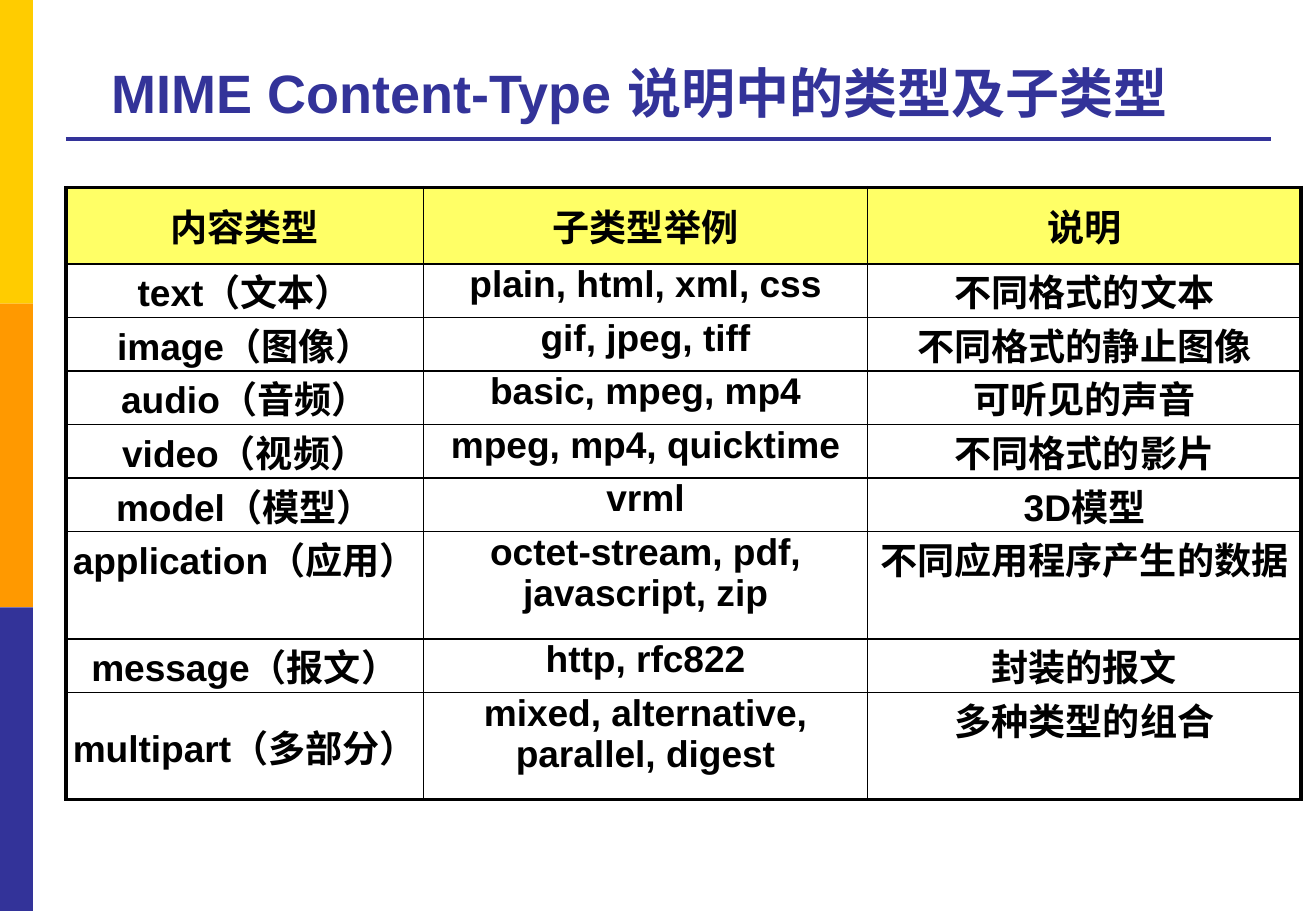
from lxml.etree import SubElement
from pptx import Presentation
from pptx.dml.color import RGBColor
from pptx.enum.shapes import MSO_CONNECTOR as Connector, MSO_SHAPE as Shape
from pptx.enum.text import MSO_ANCHOR as Anchor, PP_ALIGN as Align
from pptx.oxml.ns import qn
from pptx.util import Cm, Pt

NAVY, BLACK, HEADER = "333399", "000000", "FFFF66"
TITLE = "MIME Content-Type 说明中的类型及子类型"
BAND_COLORS = ["FFCC00", "FF9900", NAVY]
ROWS = [
    ("内容类型", "子类型举例", "说明"),
    ("text（文本）", "plain, html, xml, css", "不同格式的文本"),
    ("image（图像）", "gif, jpeg, tiff", "不同格式的静止图像"),
    ("audio（音频）", "basic, mpeg, mp4", "可听见的声音"),
    ("video（视频）", "mpeg, mp4, quicktime", "不同格式的影片"),
    ("model（模型）", "vrml", "3D模型"),
    ("application（应用）", "octet-stream, pdf, javascript, zip", "不同应用程序产生的数据"),
    ("message（报文）", "http, rfc822", "封装的报文"),
    ("multipart（多部分）", "mixed, alternative, parallel, digest", "多种类型的组合"),
]
MIDDLE_ROWS = {1, 2, 7, 8}
TALL_ROWS = {6, 8}
COLUMN_WIDTHS = [7.47, 9.29, 9.06]
HEADER_HEIGHT, ROW_HEIGHT = 1.6, 1.12
SLIDE_WIDTH, SLIDE_HEIGHT = 27.51, 19.05
LEFT, TABLE_TOP = 1.38, 3.92
THIN, THICK = 1, 2.25


def color(value):
    return RGBColor.from_string(value)


def write(frame, text, size, font_color):
    frame.text = text
    paragraph = frame.paragraphs[0]
    paragraph.alignment = Align.CENTER
    font = paragraph.font
    font.name, font.size, font.bold = "Arial", Pt(size), True
    font.color.rgb = color(font_color)


def add_borders(cell, widths):
    properties = cell._tc.get_or_add_tcPr()
    for position, (side, width) in enumerate(widths.items()):
        line = properties.makeelement(qn(f"a:{side}"), {"w": str(Pt(width))})
        fill = SubElement(line, qn("a:solidFill"))
        SubElement(fill, qn("a:srgbClr"), val=BLACK)
        properties.insert(position, line)


def add_bands(slide):
    height = SLIDE_HEIGHT / len(BAND_COLORS)
    for index, band_color in enumerate(BAND_COLORS):
        band = slide.shapes.add_shape(
            Shape.RECTANGLE, 0, Cm(index * height), Cm(0.69), Cm(height))
        band.shadow.inherit = False
        band.fill.solid()
        band.fill.fore_color.rgb = color(band_color)
        band.line.fill.background()


def add_title(slide):
    rule = slide.shapes.add_connector(
        Connector.STRAIGHT, Cm(LEFT), Cm(2.91), Cm(26.56), Cm(2.91))
    rule.line.color.rgb = color(NAVY)
    rule.line.width = Pt(2.25)
    SubElement(rule._element.spPr, qn("a:effectLst"))
    box = slide.shapes.add_textbox(Cm(LEFT), Cm(0.51), Cm(23.98), Cm(2.21))
    box.text_frame.word_wrap = True
    box.text_frame.vertical_anchor = Anchor.BOTTOM
    write(box.text_frame, TITLE, 32, NAVY)


def add_type_table(slide):
    heights = [HEADER_HEIGHT] + [
        ROW_HEIGHT * (2 if row in TALL_ROWS else 1) for row in range(1, len(ROWS))]
    table = slide.shapes.add_table(
        len(ROWS), len(COLUMN_WIDTHS), Cm(LEFT), Cm(TABLE_TOP),
        Cm(sum(COLUMN_WIDTHS)), Cm(sum(heights))).table
    for column, width in zip(table.columns, COLUMN_WIDTHS):
        column.width = Cm(width)
    last_row, last_column = len(ROWS) - 1, len(COLUMN_WIDTHS) - 1
    for row, texts in enumerate(ROWS):
        table.rows[row].height = Cm(heights[row])
        for column, text in enumerate(texts):
            cell = table.cell(row, column)
            cell.margin_left = cell.margin_right = Cm(0.08)
            cell.margin_top = cell.margin_bottom = 0
            middle = row == 0 or (column == 0 and row in MIDDLE_ROWS)
            cell.vertical_anchor = Anchor.MIDDLE if middle else Anchor.TOP
            if row == 0:
                cell.fill.solid()
                cell.fill.fore_color.rgb = color(HEADER)
            else:
                cell.fill.background()
            add_borders(cell, {
                "lnL": THICK if column == 0 else THIN,
                "lnR": THICK if column == last_column else THIN,
                "lnT": THICK if row == 0 else THIN,
                "lnB": THICK if row == last_row else THIN,
            })
            write(cell.text_frame, text, 22, BLACK)


def main():
    presentation = Presentation()
    presentation.slide_width = Cm(SLIDE_WIDTH)
    presentation.slide_height = Cm(SLIDE_HEIGHT)
    slide = presentation.slides.add_slide(presentation.slide_layouts[6])
    add_bands(slide)
    add_title(slide)
    add_type_table(slide)
    presentation.save("out.pptx")


if __name__ == "__main__":
    main()
